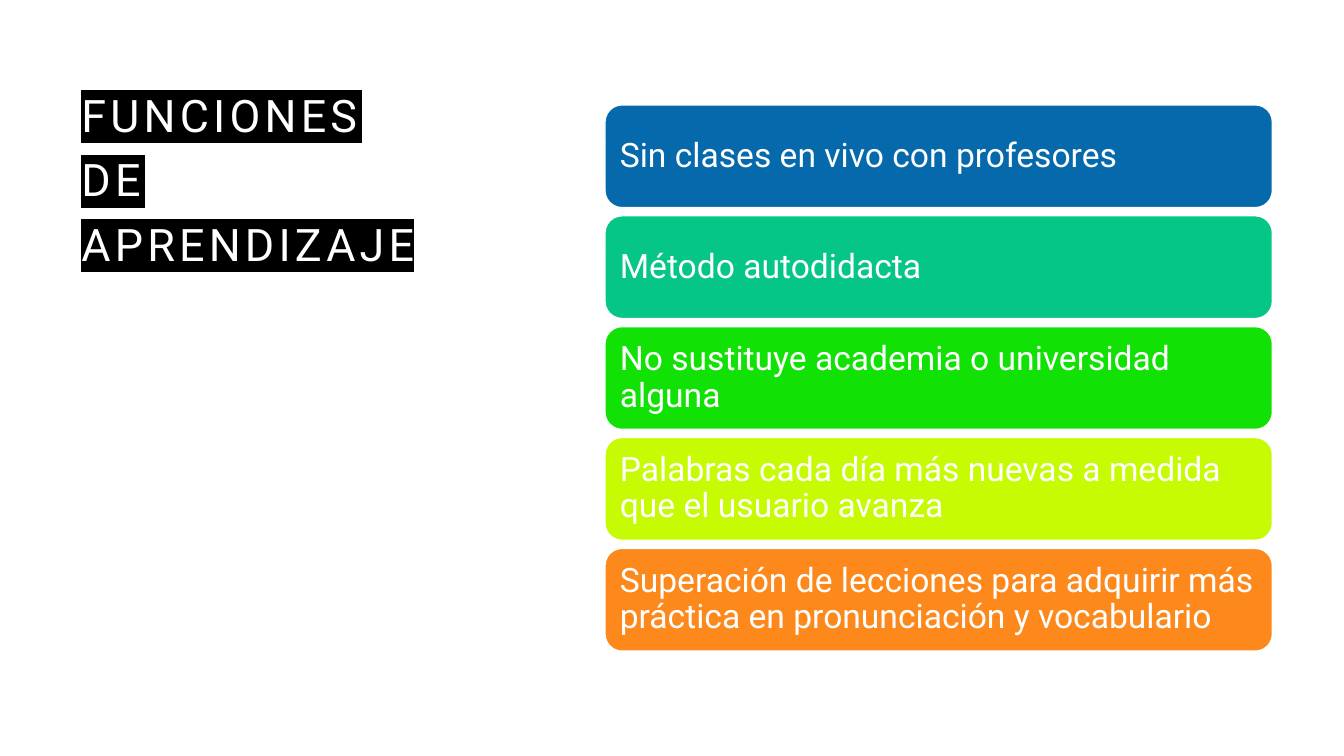
from lxml.etree import SubElement
from pptx import Presentation
from pptx.dml.color import RGBColor
from pptx.enum.shapes import MSO_SHAPE
from pptx.enum.text import MSO_ANCHOR, PP_ALIGN
from pptx.oxml.ns import qn
from pptx.util import Inches, Pt

FONT = "Roboto"
WHITE = RGBColor(0xFF, 0xFF, 0xFF)
BLACK = RGBColor(0x00, 0x00, 0x00)
BLUE = RGBColor(0x06, 0x69, 0xAC)
TEAL = RGBColor(0x06, 0xC6, 0x87)
GREEN = RGBColor(0x11, 0xE1, 0x05)
LIME = RGBColor(0xC6, 0xFB, 0x04)
ORANGE = RGBColor(0xFD, 0x89, 0x1C)

FEATURES = [
    ("Sin clases en vivo con profesores", BLUE),
    ("Método autodidacta", TEAL),
    ("No sustituye academia o universidad alguna", GREEN),
    ("Palabras cada día más nuevas a medida que el usuario avanza", LIME),
    ("Superación de lecciones para adquirir más práctica en pronunciación y vocabulario", ORANGE),
]
FIRST_TOP = 1.04
PITCH = 1.1


def add_run(paragraph, text, size):
    run = paragraph.add_run()
    run.text = text
    run.font.size = Pt(size)
    run.font.color.rgb = WHITE
    return run


def highlight(run, color, spacing):
    properties = run.font._element
    properties.set("spc", str(spacing * 100))
    marker = SubElement(properties, qn("a:highlight"))
    SubElement(marker, qn("a:srgbClr")).set("val", str(color))


def add_title(slide, text):
    box = slide.shapes.add_textbox(Inches(0.71), Inches(0.71), Inches(3.74), Inches(3.04))
    frame = box.text_frame
    frame.word_wrap = True
    paragraph = frame.paragraphs[0]
    paragraph.line_spacing = 1.2
    run = add_run(paragraph, text, 32)
    highlight(run, BLACK, 3)
    run.font.name = FONT


def add_feature(slide, top, text, color):
    shape = slide.shapes.add_shape(
        MSO_SHAPE.ROUNDED_RECTANGLE, Inches(6), Inches(top), Inches(6.62), Inches(1.02)
    )
    shape.shadow.inherit = False
    shape.fill.solid()
    shape.fill.fore_color.rgb = color
    shape.line.color.rgb = WHITE
    shape.line.width = Pt(1)
    frame = shape.text_frame
    frame.word_wrap = True
    frame.vertical_anchor = MSO_ANCHOR.MIDDLE
    frame.margin_left = frame.margin_right = Inches(0.1)
    frame.margin_top = frame.margin_bottom = Inches(0.05)
    paragraph = frame.paragraphs[0]
    paragraph.alignment = PP_ALIGN.LEFT
    paragraph.line_spacing = 0.9
    add_run(paragraph, text, 24).font.name = FONT


def main():
    presentation = Presentation()
    presentation.slide_width = Inches(13.33)
    presentation.slide_height = Inches(7.5)
    slide = presentation.slides.add_slide(presentation.slide_layouts[6])
    add_title(slide, "FUNCIONES DE APRENDIZAJE")
    for index, (text, color) in enumerate(FEATURES):
        add_feature(slide, FIRST_TOP + index * PITCH, text, color)
    presentation.save("out.pptx")


if __name__ == "__main__":
    main()
